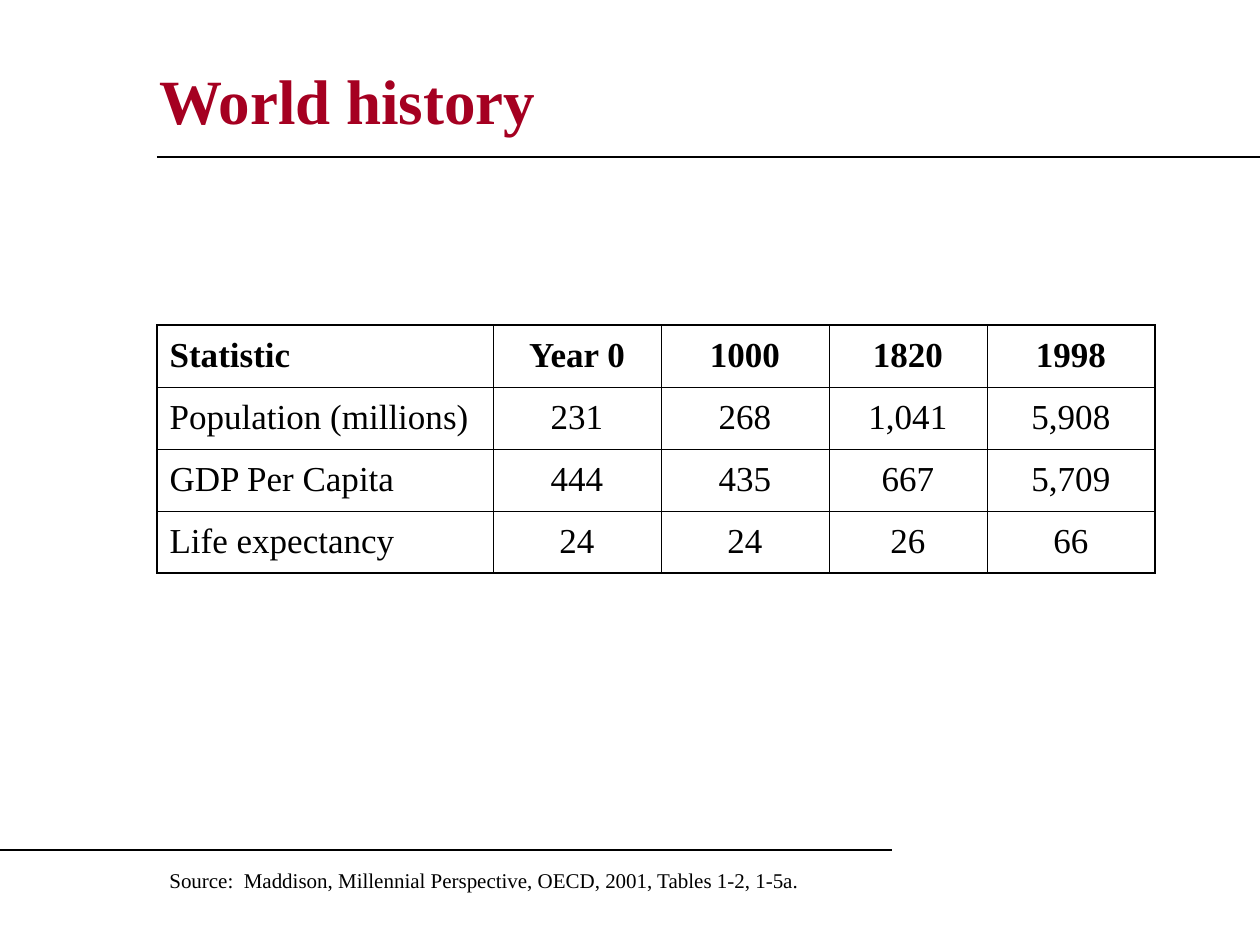
from lxml import etree
from pptx import Presentation
from pptx import util as u
from pptx.dml.color import RGBColor
from pptx.enum import shapes, text
from pptx.oxml.ns import qn

EMU_PER_PX = 914400 / 126
FONT = "Times New Roman"
CRIMSON = RGBColor(0xA5, 0x00, 0x21)
BLACK = RGBColor(0x00, 0x00, 0x00)
INNER_BORDER, OUTER_BORDER = u.Pt(0.45), u.Pt(1.08)

STATISTICS = [
    ["Statistic", "Year 0", "1000", "1820", "1998"],
    ["Population (millions)", "231", "268", "1,041", "5,908"],
    ["GDP Per Capita", "444", "435", "667", "5,709"],
    ["Life expectancy", "24", "24", "26", "66"],
]
COLUMN_WIDTHS = [336, 168, 168, 158, 168]
ROW_HEIGHT = 62


def px(*lengths):
    return [u.Emu(round(length * EMU_PER_PX)) for length in lengths]


class SlideBuilder:
    """Holds the style and the current slide."""

    def __init__(self, slide, font=FONT, color=BLACK):
        self.slide = slide
        self.font = font
        self.color = color

    def fill_paragraph(self, paragraph, words, size, bold=False, color=None,
                       before=0):
        paragraph.text = words
        paragraph.space_before = u.Pt(before)
        font = paragraph.font
        font.name, font.size, font.bold = self.font, u.Pt(size), bold
        font.color.rgb = color or self.color

    def text_box(self, left, top, width, height, words, size,
                 anchor=text.MSO_ANCHOR.TOP, **style):
        box = self.slide.shapes.add_textbox(*px(left, top, width, height))
        frame = box.text_frame
        frame.word_wrap = True
        frame.vertical_anchor = anchor
        self.fill_paragraph(frame.paragraphs[0], words, size, **style)

    def rule(self, left, right, y):
        line = self.slide.shapes.add_connector(
            shapes.MSO_CONNECTOR.STRAIGHT, *px(left, y, right, y))
        line.line.color.rgb = self.color
        line.line.width = u.Pt(0.75)
        etree.SubElement(line._element.spPr, qn("a:effectLst"))

    def cell_borders(self, cell, widths):
        properties = cell._tc.get_or_add_tcPr()
        for index, (side, width) in enumerate(widths.items()):
            border = etree.Element(qn(f"a:ln{side}"), w=str(int(width)))
            fill = etree.SubElement(border, qn("a:solidFill"))
            etree.SubElement(fill, qn("a:srgbClr"), val=str(self.color))
            properties.insert(index, border)

    def table(self, left, top, rows, column_widths, row_height, size):
        row_count, column_count = len(rows), len(column_widths)
        table = self.slide.shapes.add_table(
            row_count, column_count,
            *px(left, top, sum(column_widths), row_height * row_count)).table
        table.first_row = table.horz_banding = False
        for column, width in zip(table.columns, px(*column_widths)):
            column.width = width
        for r, values in enumerate(rows):
            table.rows[r].height = px(row_height)[0]
            for c, value in enumerate(values):
                cell = table.cell(r, c)
                cell.fill.background()
                cell.vertical_anchor = text.MSO_ANCHOR.MIDDLE
                paragraph = cell.text_frame.paragraphs[0]
                self.fill_paragraph(paragraph, value, size, bold=r == 0,
                                    before=5)
                if c > 0:
                    paragraph.alignment = text.PP_ALIGN.CENTER
                on_edge = {"L": c == 0, "R": c == column_count - 1,
                           "T": r == 0, "B": r == row_count - 1}
                self.cell_borders(cell, {
                    side: OUTER_BORDER if edge else INNER_BORDER
                    for side, edge in on_edge.items()})


def main():
    presentation = Presentation()
    presentation.slide_width, presentation.slide_height = px(1260, 945)
    slide = presentation.slides.add_slide(presentation.slide_layouts[6])
    builder = SlideBuilder(slide)

    # Title and the rule below it
    builder.text_box(147, 63, 998, 73, "World history", 36, bold=True,
                     color=CRIMSON, anchor=text.MSO_ANCHOR.MIDDLE)
    builder.rule(157, 1260, 157)

    # Statistics by year
    builder.table(157, 325, STATISTICS, COLUMN_WIDTHS, ROW_HEIGHT, size=20)

    # Footer rule and source
    builder.rule(0, 892, 850)
    builder.text_box(
        157, 861, 683, 38,
        "Source:  Maddison, Millennial Perspective, OECD, 2001, Tables 1-2, 1-5a.",
        12, before=7.5)

    presentation.save("out.pptx")


if __name__ == "__main__":
    main()
